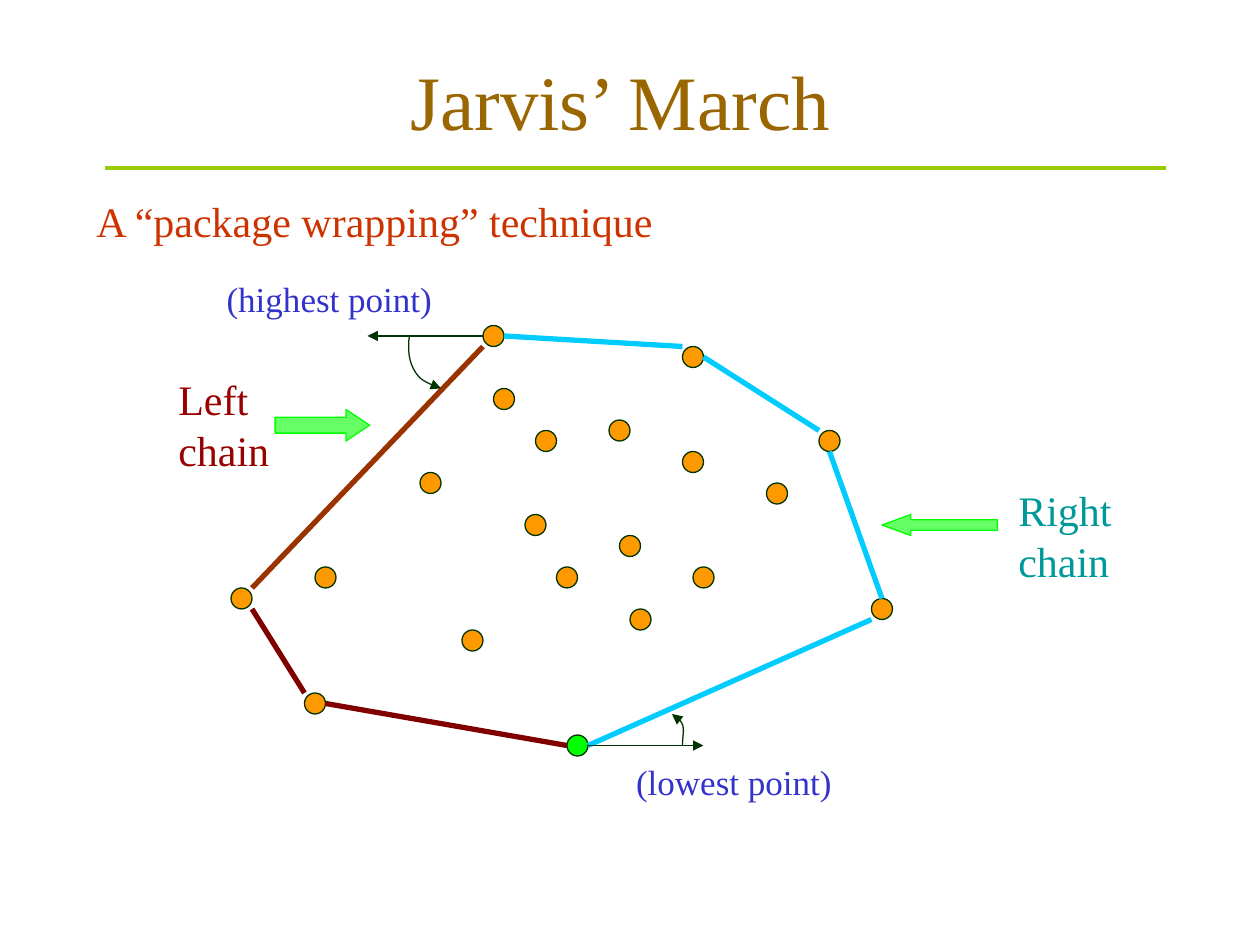
import lxml.etree
import pptx
import pptx.dml.color
import pptx.enum.shapes
import pptx.enum.text
import pptx.oxml.ns
import pptx.util

PX = 7620
COLORS = {
    "title": "996600", "rule": "99CC00", "subtitle": "CC3300", "label": "3333CC",
    "left": "990000", "right": "009999", "point": "FF9900", "lowest": "00FF00",
    "ink": "003300", "left_chain": "800000", "last_left_edge": "993300",
    "right_chain": "00CCFF", "arrow": "66FF66", "arrow_edge": "00FF00",
}
SHAPE = pptx.enum.shapes.MSO_SHAPE
ALIGN = pptx.enum.text.PP_ALIGN
ANCHOR = pptx.enum.text.MSO_ANCHOR
FIT = pptx.enum.text.MSO_AUTO_SIZE


def rgb(name):
    return pptx.dml.color.RGBColor.from_string(COLORS[name])


def set_stroke(item, color, width, arrow_end=None):
    item.line.color.rgb = rgb(color)
    item.line.width = pptx.util.Pt(width)
    properties = item.element.spPr
    if arrow_end:
        outline = properties.find(pptx.oxml.ns.qn("a:ln"))
        end = lxml.etree.SubElement(outline, pptx.oxml.ns.qn("a:" + arrow_end))
        end.set("type", "triangle")
    effects = pptx.oxml.ns.qn("a:effectLst")
    if properties.find(effects) is None:
        lxml.etree.SubElement(properties, effects)


deck = pptx.Presentation()
deck.slide_width = 1200 * PX
deck.slide_height = 900 * PX
slide = deck.slides.add_slide(deck.slide_layouts[6])
shapes = slide.shapes

texts = [
    ((90, 20, 1020, 150), ["Jarvis’ March "], 44, "title"),
    ((80, 180, 556, 60), ["A “package wrapping” technique"], 24, "subtitle"),
    ((594, 718, 211, 53), ["(lowest point)"], 20, "label"),
    ((204, 258, 221, 53), ["(highest point)"], 20, "label"),
    ((158, 350, 116, 108), ["Left", "chain"], 24, "left"),
    ((958, 456, 122, 108), ["Right", "chain"], 24, "right"),
]
for box, lines, size, color in texts:
    is_title = color == "title"
    frame = shapes.add_textbox(*[value * PX for value in box]).text_frame
    frame.word_wrap = is_title
    frame.auto_size = FIT.NONE if is_title else FIT.SHAPE_TO_FIT_TEXT
    frame.vertical_anchor = ANCHOR.MIDDLE if is_title else ANCHOR.TOP
    for index, line in enumerate(lines):
        paragraph = frame.add_paragraph() if index else frame.paragraphs[0]
        paragraph.alignment = ALIGN.CENTER if is_title else ALIGN.LEFT
        run = paragraph.add_run()
        run.text = line
        run.font.name = "Times New Roman"
        run.font.size = pptx.util.Pt(size)
        run.font.color.rgb = rgb(color)

lowest = (550, 710)
points = [
    (230, 570), (480, 380), (510, 500), (590, 410), (840, 580), (610, 590),
    lowest, (300, 670), (410, 460), (660, 340), (470, 320), (450, 610),
    (540, 550), (790, 420), (600, 520), (660, 440), (670, 550), (740, 470),
    (520, 420), (310, 550),
]
radius = 10
for x, y in points:
    dot = shapes.add_shape(SHAPE.OVAL, (x - radius) * PX, (y - radius) * PX,
                           2 * radius * PX, 2 * radius * PX)
    dot.shadow.inherit = False
    dot.fill.solid()
    dot.fill.fore_color.rgb = rgb("lowest" if (x, y) == lowest else "point")
    set_stroke(dot, "ink", 0.75)

segments = [
    ((100, 160), (1110, 160), "rule", 2.25, None),
    ((310, 670), (540, 710), "left_chain", 3, None),
    ((240, 580), (290, 660), "left_chain", 3, None),
    ((460, 330), (240, 560), "last_left_edge", 3, None),
    ((650, 330), (480, 320), "right_chain", 3, None),
    ((780, 410), (670, 340), "right_chain", 3, None),
    ((840, 570), (790, 430), "right_chain", 3, None),
    ((560, 710), (830, 590), "right_chain", 3, None),
    ((560, 710), (670, 710), "ink", 0.75, "tailEnd"),
    ((350, 320), (460, 320), "ink", 0.75, "headEnd"),
]
for start, end, color, width, arrow_end in segments:
    segment = shapes.add_connector(pptx.enum.shapes.MSO_CONNECTOR.STRAIGHT,
                                   *[value * PX for value in start + end])
    set_stroke(segment, color, width, arrow_end)

angle_arcs = [
    [(650, 710), (650, 702), (652, 695), (650, 690), (648, 685), (644, 683), (640, 680)],
    [(390, 320), (389, 326), (389, 334), (390, 340), (391, 347), (395, 355), (400, 360),
     (406, 365), (413, 367), (420, 370)],
]
steps = 8
for controls in angle_arcs:
    curve = []
    for first in range(0, len(controls) - 1, 3):
        a, b, c, d = controls[first:first + 4]
        for step in range(1, steps + 1):
            t = step / steps
            u = 1 - t
            curve.append([PX * (u**3 * a[i] + 3 * u * u * t * b[i] + 3 * u * t * t * c[i] + t**3 * d[i])
                          for i in (0, 1)])
    builder = shapes.build_freeform(controls[0][0] * PX, controls[0][1] * PX)
    builder.add_line_segments(curve, close=False)
    arc = builder.convert_to_shape()
    arc.shadow.inherit = False
    arc.fill.background()
    set_stroke(arc, "ink", 0.75, "tailEnd")

chain_arrows = [
    (SHAPE.LEFT_ARROW, (840, 490, 110, 20), 1.375),
    (SHAPE.RIGHT_ARROW, (262, 390, 90, 30), 0.75),
]
for kind, box, head_ratio in chain_arrows:
    pointer = shapes.add_shape(kind, *[value * PX for value in box])
    pointer.adjustments[0] = 0.5
    pointer.adjustments[1] = head_ratio
    pointer.shadow.inherit = False
    pointer.fill.solid()
    pointer.fill.fore_color.rgb = rgb("arrow")
    set_stroke(pointer, "arrow_edge", 0.75)

deck.save("out.pptx")
